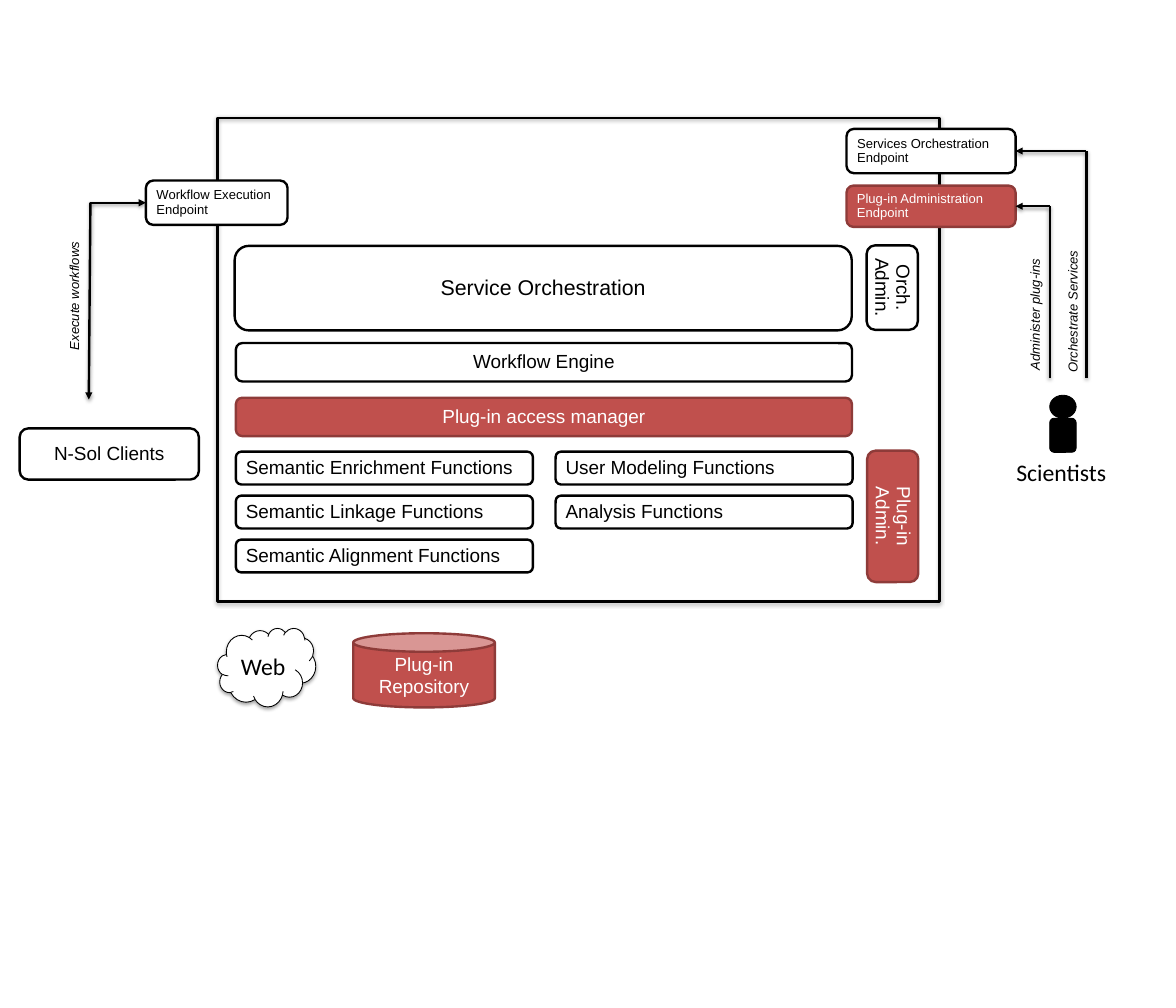
from lxml import etree
from pptx import Presentation
from pptx import util as u
from pptx.dml import color
from pptx.enum import shapes, text
from pptx.oxml import ns

Pt = u.Pt
KIND = shapes.MSO_SHAPE
ALIGN = text.PP_ALIGN
COLOURS = {"ink": "000000", "paper": "FFFFFF", "plugin": "C0504D", "plugin_edge": "8E3B39"}
SERVICE = {"fill": "paper", "edge": "ink", "ink": "ink"}
PLUGIN = {"fill": "plugin", "edge": "plugin_edge", "ink": "paper"}
PERSON = {"fill": "ink", "edge": "ink", "ink": "paper"}
FRAME = {"fill": None, "edge": "ink", "ink": "ink"}
TOP, LEFT, BOTTOM, RIGHT = range(4)


def rgb(name):
    return color.RGBColor.from_string(COLOURS[name])


def apply(target, values):
    for name, value in values.items():
        setattr(target, name, value)


def add_effects(part, shadow=True):
    """Give the part its own effect list, holding a soft shadow below it if wanted."""
    properties = part._element.spPr
    for old in properties.findall(ns.qn("a:effectLst")):
        properties.remove(old)
    effects = etree.SubElement(properties, ns.qn("a:effectLst"))
    if shadow:
        cast = etree.SubElement(effects, ns.qn("a:outerShdw"), blurRad=str(Pt(3.1)),
                                dist=str(Pt(1.7)), dir="5400000", rotWithShape="0")
        tint = etree.SubElement(cast, ns.qn("a:srgbClr"), val=COLOURS["ink"])
        etree.SubElement(tint, ns.qn("a:alpha"), val="36000")


def write(part, words, size, ink="ink", align=ALIGN.CENTER, font="Arial",
          italic=False, spacing=1.0, anchor=text.MSO_ANCHOR.MIDDLE):
    frame = part.text_frame
    apply(frame, {"word_wrap": True, "vertical_anchor": anchor})
    paragraph = frame.paragraphs[0]
    apply(paragraph, {"alignment": align, "line_spacing": spacing})
    run = paragraph.add_run()
    run.text = words
    apply(run.font, {"name": font, "size": Pt(size), "italic": italic})
    run.font.color.rgb = rgb(ink)


def add_part(parent, kind, place, look, edge_width=2, shadow=False):
    part = parent.add_shape(kind, *map(Pt, place))
    if look["fill"]:
        part.fill.solid()
        part.fill.fore_color.rgb = rgb(look["fill"])
    else:
        part.fill.background()
    part.line.color.rgb = rgb(look["edge"])
    part.line.width = Pt(edge_width)
    add_effects(part, shadow)
    return part


def add_box(parent, words, place, look=SERVICE, size=16, align=ALIGN.CENTER, rotation=0):
    box = add_part(parent, KIND.ROUNDED_RECTANGLE, place, look)
    box.rotation = rotation
    write(box, words, size, look["ink"], align, spacing=0.93)
    return box


def add_upward_label(parent, words, left, top):
    label = parent.add_textbox(Pt(left), Pt(top), Pt(118), Pt(20.9))
    label.rotation = 270
    write(label, words, 11, align=ALIGN.LEFT, italic=True, anchor=text.MSO_ANCHOR.TOP)


def add_link(parent, tip, start, arrow=True, glue=None):
    """Draw a line whose arrowhead is at tip; glue is a box and its side."""
    link = parent.add_connector(shapes.MSO_CONNECTOR.STRAIGHT, *map(Pt, (*tip, *start)))
    if glue:
        link.begin_connect(*glue)
    link.line.color.rgb = rgb("ink")
    link.line.width = Pt(2)
    if arrow:
        etree.SubElement(link.line._get_or_add_ln(), ns.qn("a:headEnd"), type="triangle")
    add_effects(link)


def add_scientists(parent):
    person = parent.add_group_shape().shapes
    add_part(person, KIND.OVAL, (885.6, 333.4, 22.3, 19.4), PERSON, 0.75)
    add_part(person, KIND.ROUNDED_RECTANGLE, (885.6, 352.8, 22.3, 28.8), PERSON, 0.75)
    caption = person.add_textbox(*map(Pt, (848.9, 382.3, 92.9, 31.7)))
    write(caption, "Scientists", 20, font="Calibri", anchor=text.MSO_ANCHOR.TOP)


def add_functions(parent):
    columns = (
        ("Semantic Enrichment Functions", "Semantic Linkage Functions",
         "Semantic Alignment Functions"),
        ("User Modeling Functions", "Analysis Functions"),
    )
    for column, names in enumerate(columns):
        for row, name in enumerate(names):
            place = (199 + 269.7 * column, 381 + 37.1 * row, 250.6, 27.7)
            add_box(parent, name, place, align=ALIGN.LEFT)


def add_platform(parent):
    add_part(parent, KIND.RECTANGLE, (183.6, 99.4, 609.1, 408.2), FRAME, shadow=True)
    add_box(parent, "Service Orchestration", (198, 207.4, 520.6, 71.3), size=18)
    add_box(parent, "Workflow Engine", (199, 289.4, 519.8, 32.4))
    add_box(parent, "Plug-in access manager", (199, 335.5, 519.8, 32.4), PLUGIN)
    add_functions(parent)
    add_box(parent, "Orch. Admin.", (717.1, 221, 71.3, 43.2), rotation=90)
    add_box(parent, "Plug-in Admin.", (697.7, 414, 110.9, 43.2), PLUGIN, rotation=90)


def add_resources(parent):
    web = add_part(parent, KIND.CLOUD, (183.6, 529.9, 82.8, 66.2), SERVICE, 0.75, True)
    write(web, "Web", 20, font="Calibri")
    repository = add_part(parent, KIND.CAN, (298, 534.2, 119.5, 62.6), PLUGIN)
    write(repository, "Plug-in Repository", 16, "paper")


def add_clients(parent):
    add_box(parent, "N-Sol Clients", (16.6, 361.4, 151.2, 43.2))
    endpoint = add_box(parent, "Workflow Execution Endpoint", (123.1, 152.3, 119.5, 37.4),
                       size=11, align=ALIGN.LEFT)
    add_link(parent, (123.1, 171), (76.3, 171), glue=(endpoint, LEFT))
    add_link(parent, (74.9, 337), (76.3, 171))
    add_upward_label(parent, "Execute workflows", 3.7, 233.1)


def add_administration(parent):
    routes = (
        ("Services Orchestration Endpoint", 108.7, 37.4, SERVICE, 916.6,
         "Orchestrate Services", (846, 252)),
        ("Plug-in Administration Endpoint", 156.6, 34.8, PLUGIN, 885.6,
         "Administer plug-ins", (814.3, 249.8)),
    )
    for name, top, height, look, bend, action, corner in routes:
        endpoint = add_box(parent, name, (714.2, top, 142.6, height), look, 11, ALIGN.LEFT)
        middle = top + height / 2
        add_link(parent, (856.8, middle), (bend, middle), glue=(endpoint, RIGHT))
        add_link(parent, (bend, middle), (bend, 319), arrow=False)
        add_upward_label(parent, action, *corner)


def main():
    deck = Presentation()
    apply(deck, {"slide_width": Pt(992.16), "slide_height": Pt(850.32)})
    parent = deck.slides.add_slide(deck.slide_layouts[6]).shapes
    for add_section in (add_platform, add_resources, add_clients,
                        add_administration, add_scientists):
        add_section(parent)
    deck.save("out.pptx")


if __name__ == "__main__":
    main()
